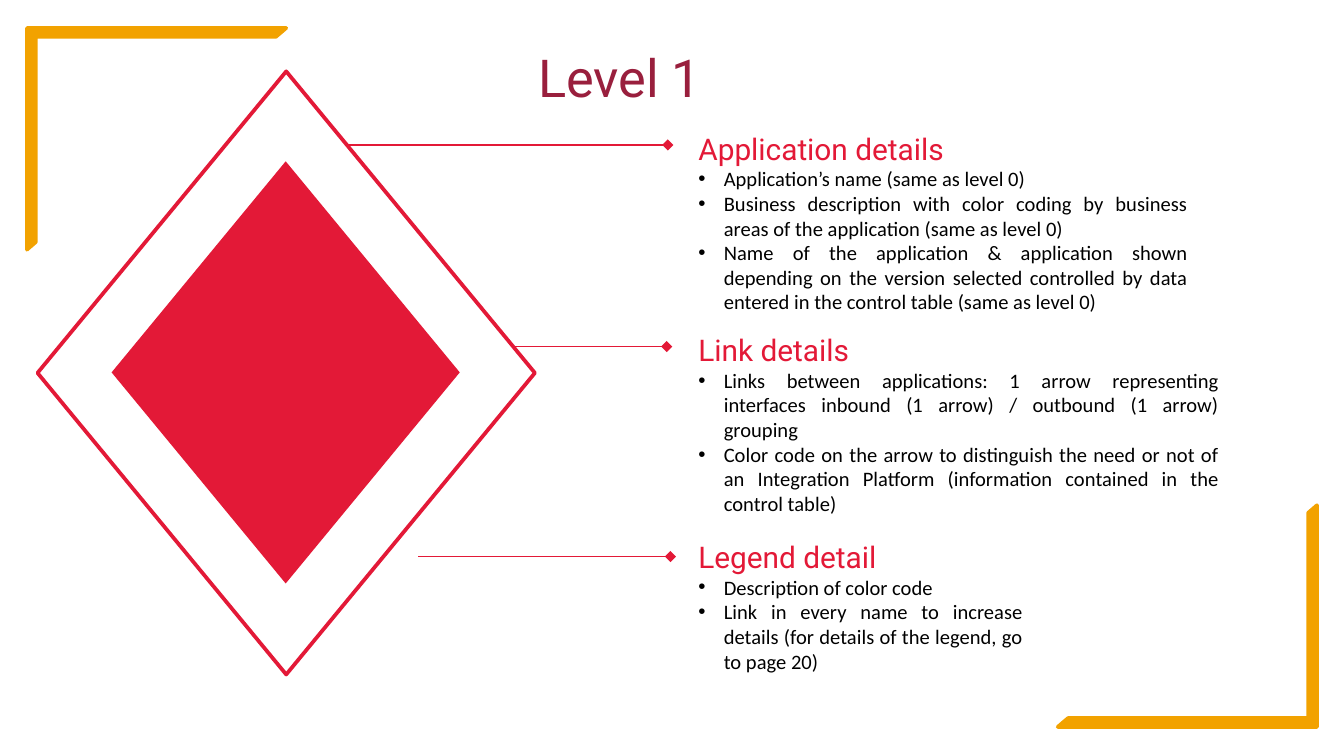
"""Build the "Level 1" slide: nested diamonds linked to three groups of details."""
from lxml.etree import SubElement
from pptx import Presentation
from pptx.dml.color import RGBColor
from pptx.enum.shapes import MSO_CONNECTOR as Link, MSO_SHAPE as Shape
from pptx.enum.text import MSO_AUTO_SIZE as AutoSize, PP_ALIGN as Align
from pptx.oxml.ns import qn
from pptx.util import Cm, Pt

RED = RGBColor(0xE3, 0x19, 0x37)
WINE = RGBColor(0x99, 0x1F, 0x3D)
AMBER = RGBColor(0xF2, 0xA2, 0x00)
WHITE = RGBColor(0xFF, 0xFF, 0xFF)
BLACK = RGBColor(0x00, 0x00, 0x00)

FRAMES = [(0.51, 0.53, 0), (19.99, 9.55, 180)]
POINTERS = [(6.3, 12.62, 2.74), (7.9, 12.67, 10.52), (8.48, 12.6, 6.55)]
DETAILS = [
    (2.34, 9.75, 4.22, "Application details", [
        "Application’s name (same as level 0)",
        "Business description with color coding by business areas of the "
        "application (same as level 0)",
        "Name of the application & application shown depending on the version "
        "selected controlled by data entered in the control table (same as level 0)",
    ]),
    (6.15, 10.34, 3.76, "Link details", [
        "Links between applications: 1 arrow representing interfaces inbound "
        "(1 arrow) / outbound (1 arrow) grouping",
        "Color code on the arrow to distinguish the need or not of an Integration "
        "Platform (information contained in the control table)",
    ]),
    (10.06, 6.63, 3.3, "Legend detail", [
        "Description of color code",
        "Link in every name to increase details (for details of the legend, "
        "go to page 20)",
    ]),
]


class Painter:
    """Hold the style and the current page."""

    heading_font = "Roboto"
    body_font = "Calibri"
    bullet_indent = Cm(0.48)

    def __init__(self, page):
        self.page = page

    def shape(self, kind, left, top, width, height, fill, line=None):
        """Add a preset shape, outlined with round joins if a line colour is given."""
        shape = self.page.shapes.add_shape(
            kind, Cm(left), Cm(top), Cm(width), Cm(height))
        shape.shadow.inherit = False
        shape.fill.solid()
        shape.fill.fore_color.rgb = fill
        if line is None:
            shape.line.fill.background()
        else:
            shape.line.color.rgb = line
            shape.line.width = Pt(2)
            SubElement(shape.line._get_or_add_ln(), qn("a:round"))
        return shape

    def frame(self, left, top, rotation):
        """Add an amber corner frame."""
        frame = self.shape(Shape.HALF_FRAME, left, top, 4.9, 4.19, AMBER, AMBER)
        frame.adjustments[0] = 0.04
        frame.adjustments[1] = 0.04
        frame.rotation = rotation

    def pointer(self, start, end, height):
        """Add a level line that ends in a diamond."""
        pointer = self.page.shapes.add_connector(
            Link.STRAIGHT, Cm(start), Cm(height), Cm(end), Cm(height))
        pointer.line.color.rgb = RED
        pointer.line.width = Pt(0.75)
        SubElement(pointer.line._get_or_add_ln(), qn("a:tailEnd"), type="diamond")
        SubElement(pointer._element.spPr, qn("a:effectLst"))

    def paragraph(self, para, text, size, font, color, align):
        """Fill a paragraph and format its run."""
        para.text = text
        para.alignment = align
        for span in para.runs:
            span.font.size = Pt(size)
            span.font.name = font
            span.font.color.rgb = color

    def text_box(self, left, top, width, height):
        """Add a wrapping text box and return its frame."""
        box = self.page.shapes.add_textbox(Cm(left), Cm(top), Cm(width), Cm(height))
        box.text_frame.word_wrap = True
        box.text_frame.auto_size = AutoSize.SHAPE_TO_FIT_TEXT
        return box.text_frame

    def title(self, text):
        """Add the centred title."""
        frame = self.text_box(0.71, 0.74, 22, 1.45)
        self.paragraph(
            frame.paragraphs[0], text, 28, self.heading_font, WINE, Align.CENTER)

    def details(self, top, width, height, heading, items):
        """Add a heading with a justified bullet list under it."""
        frame = self.text_box(12.95, top, width, height)
        self.paragraph(
            frame.paragraphs[0], heading, 16, self.heading_font, RED, Align.LEFT)
        for item in items:
            para = frame.add_paragraph()
            props = para._p.get_or_add_pPr()
            props.set("marL", str(self.bullet_indent))
            props.set("indent", str(-self.bullet_indent))
            SubElement(props, qn("a:buFont"), typeface="Arial")
            SubElement(props, qn("a:buChar"), char="•")
            self.paragraph(para, item, 11, self.body_font, BLACK, Align.JUSTIFY)


def main():
    """Build and save the deck."""
    deck = Presentation()
    deck.slide_width, deck.slide_height = Cm(25.4), Cm(14.29)
    painter = Painter(deck.slides.add_slide(deck.slide_layouts[6]))
    for frame in FRAMES:
        painter.frame(*frame)
    for pointer in POINTERS:
        painter.pointer(*pointer)
    painter.shape(Shape.DIAMOND, 0.71, 1.35, 9.4, 11.4, WHITE, RED)
    painter.shape(Shape.DIAMOND, 2.11, 3.05, 6.58, 7.98, RED)
    for group in DETAILS:
        painter.details(*group)
    painter.title("Level 1")
    deck.save("out.pptx")


if __name__ == "__main__":
    main()
